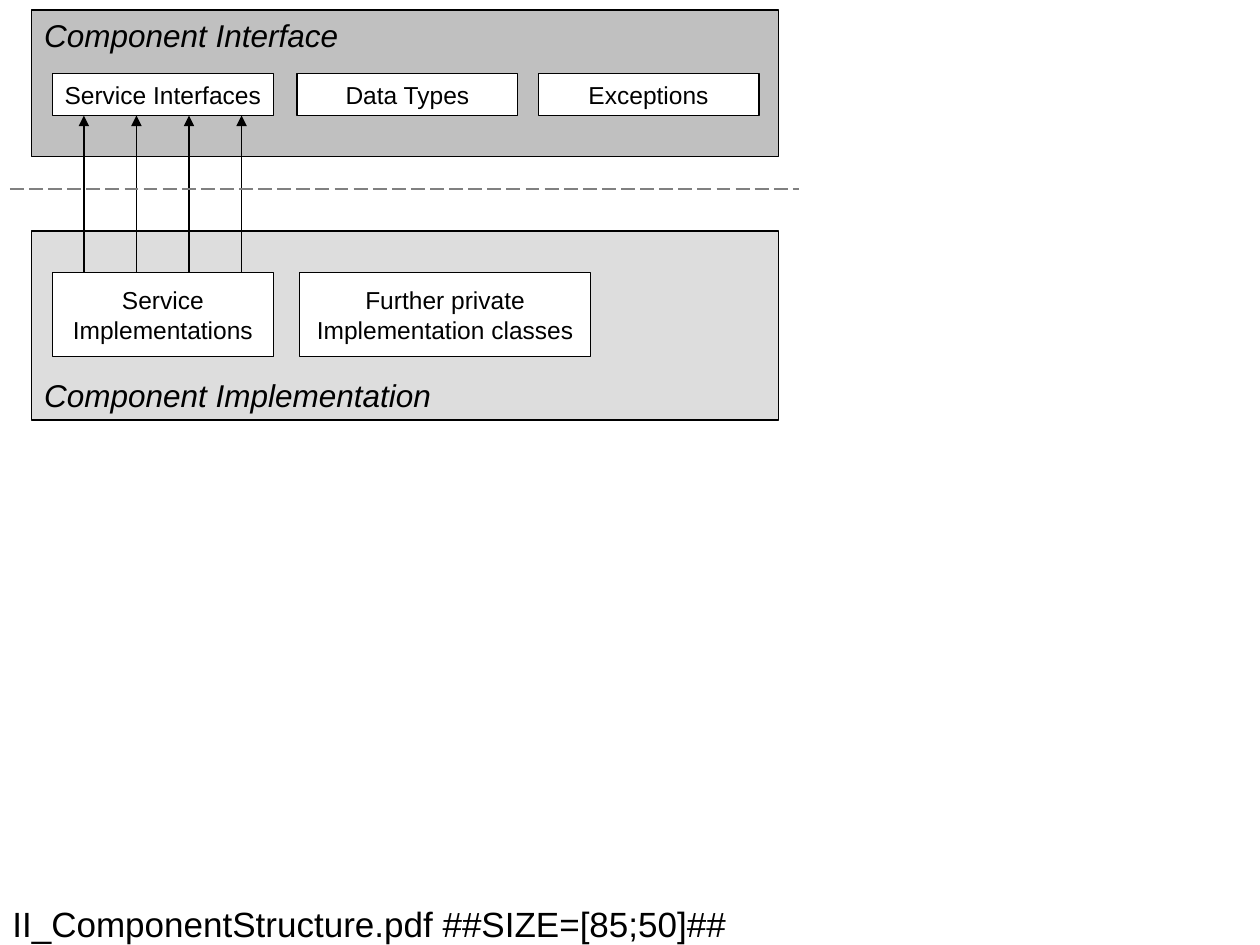
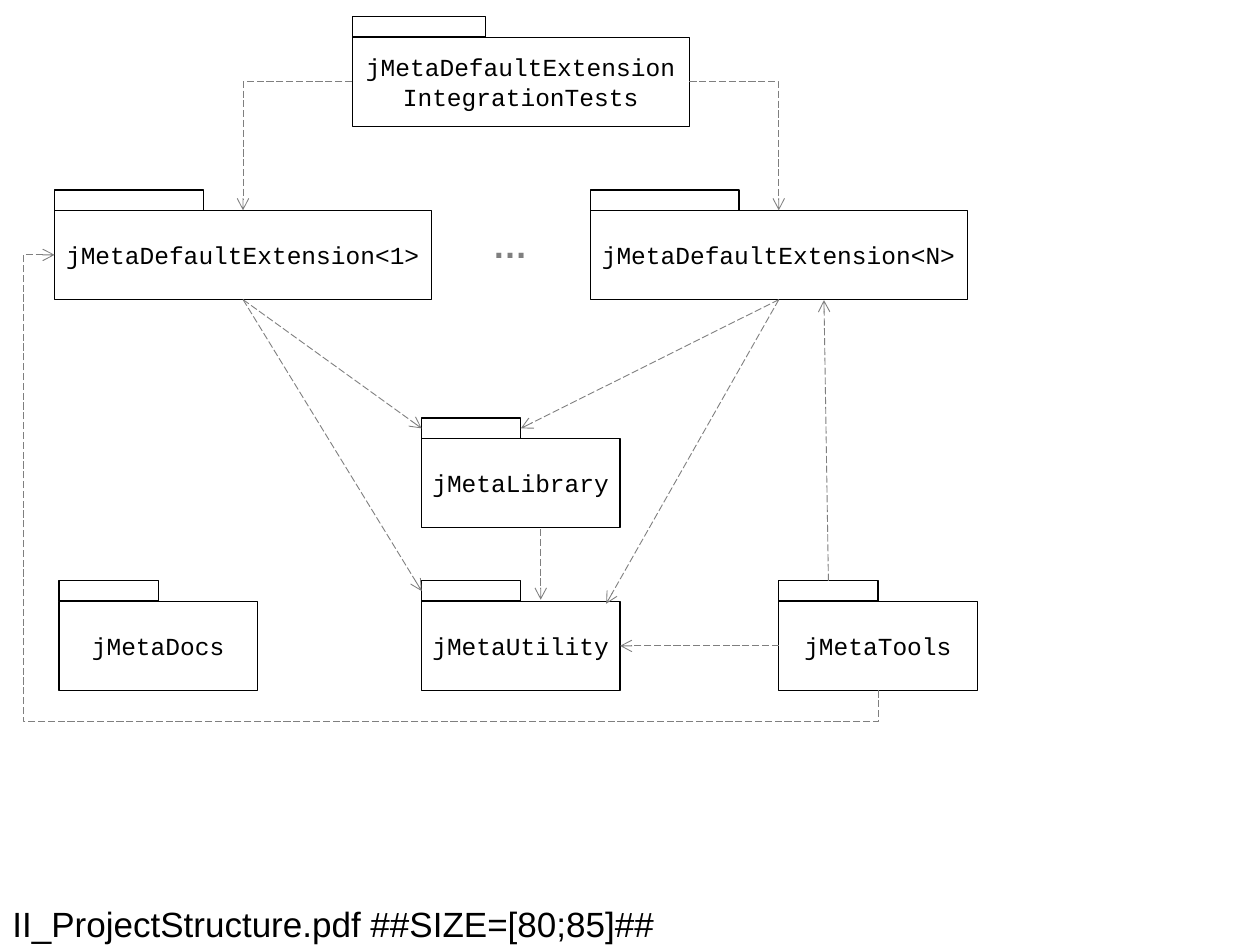
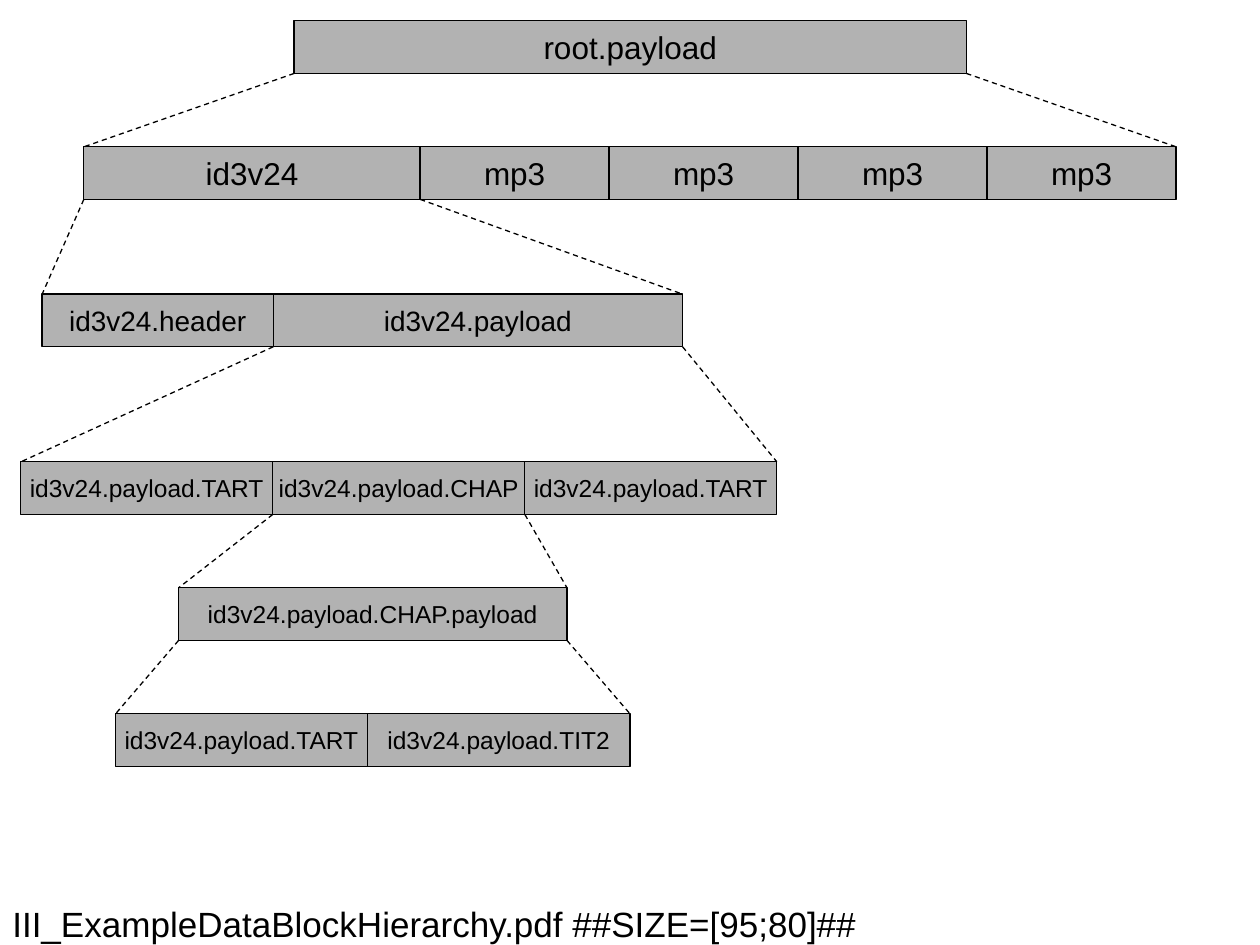
from dataclasses import dataclass
from typing import NamedTuple, Optional, Union

from lxml import etree
from pptx import Presentation
from pptx.dml.color import RGBColor
from pptx.enum.dml import MSO_LINE
from pptx.enum.shapes import MSO_CONNECTOR, MSO_SHAPE
from pptx.enum.text import MSO_ANCHOR, MSO_AUTO_SIZE, PP_ALIGN
from pptx.oxml.ns import qn
from pptx.shapes.autoshape import Shape
from pptx.shapes.connector import Connector
from pptx.shapes.shapetree import GroupShapes, SlideShapes
from pptx.slide import Slide
from pptx.text.text import TextFrame
from pptx.util import Cm, Pt

BLACK = RGBColor(0x00, 0x00, 0x00)
WHITE = RGBColor(0xFF, 0xFF, 0xFF)
INTERFACE_GREY = RGBColor(0xC0, 0xC0, 0xC0)
IMPLEMENTATION_GREY = RGBColor(0xDD, 0xDD, 0xDD)
BLOCK_GREY = RGBColor(0xB2, 0xB2, 0xB2)
BORDER_GREY = RGBColor(0x80, 0x80, 0x80)
DEPENDENCY_GREY = RGBColor(0x7F, 0x7F, 0x7F)

RECTANGLE = MSO_SHAPE.RECTANGLE
STRAIGHT, ELBOW = MSO_CONNECTOR.STRAIGHT, MSO_CONNECTOR.ELBOW
DASH, LONG_DASH = MSO_LINE.DASH, MSO_LINE.LONG_DASH
LEFT, CENTER = PP_ALIGN.LEFT, PP_ALIGN.CENTER
TOP, MIDDLE, BOTTOM = MSO_ANCHOR.TOP, MSO_ANCHOR.MIDDLE, MSO_ANCHOR.BOTTOM
FIXED_SIZE = MSO_AUTO_SIZE.NONE
TOP_SIDE, LEFT_SIDE, BOTTOM_SIDE, RIGHT_SIDE = range(4)

PAGE_WIDTH, PAGE_HEIGHT = 25.4, 19.05


# All positions and lengths below are in centimetres
class Area(NamedTuple):
    left: float
    top: float
    width: float
    height: float


class Point(NamedTuple):
    x: float
    y: float


class Joint(NamedTuple):
    shape: Shape
    side: int


LineEnd = Union[Point, Joint]


@dataclass(frozen=True)
class TextStyle:
    size: float = 14
    font: str = "Arial"
    color: RGBColor = BLACK
    bold: bool = False
    italic: bool = False
    align: PP_ALIGN = CENTER
    anchor: MSO_ANCHOR = MIDDLE


@dataclass(frozen=True)
class LineStyle:
    color: RGBColor
    width: float
    dash: Optional[MSO_LINE] = None
    arrowhead: str = ""


@dataclass(frozen=True)
class Package:
    name: str
    left: float
    body_top: float
    width: float
    tab_width: float


@dataclass(frozen=True)
class BlockRow:
    top: float
    left: float
    size: int
    blocks: tuple[tuple[str, float], ...]
    parent: int = 0  # index of the block in the row above that this row unfolds


BOX_TEXT = TextStyle()
PACKAGE_TEXT = TextStyle(font="Courier New")
TITLE_TEXT = TextStyle(size=20, align=LEFT)
ELLIPSIS_TEXT = TextStyle(size=20, color=DEPENDENCY_GREY, bold=True, align=LEFT, anchor=TOP)
REALIZATION = LineStyle(BLACK, 1, arrowhead="triangle")
LAYER_BORDER = LineStyle(BORDER_GREY, 1, LONG_DASH)
DEPENDENCY = LineStyle(DEPENDENCY_GREY, 0.5, LONG_DASH, "arrow")
UNFOLDING = LineStyle(BLACK, 0.75, DASH)


# Shared drawing functions
def write_text(frame: TextFrame, text: str, style: TextStyle) -> None:
    frame.word_wrap = False
    frame.auto_size = FIXED_SIZE
    frame.vertical_anchor = style.anchor
    para = frame.paragraphs[0]
    para.alignment = style.align
    for number, line in enumerate(text.split("\n")):
        if number:
            para.add_line_break()
        span = para.add_run()
        span.text = line
        span.font.name = style.font
        span.font.size = Pt(style.size)
        span.font.bold = style.bold
        span.font.italic = style.italic
        span.font.color.rgb = style.color


def add_text(page: Slide, area: Area, text: str, style: TextStyle) -> Shape:
    box = page.shapes.add_textbox(*map(Cm, area))
    write_text(box.text_frame, text, style)
    return box


def add_box(shapes: Union[SlideShapes, GroupShapes], area: Area, fill: Optional[RGBColor],
            text: str = "", style: TextStyle = BOX_TEXT) -> Shape:
    box = shapes.add_shape(RECTANGLE, *map(Cm, area))
    box.shadow.inherit = False
    if fill is None:
        box.fill.background()
    else:
        box.fill.solid()
        box.fill.fore_color.rgb = fill
    box.line.color.rgb = BLACK
    box.line.width = Pt(0.75)
    if text:
        write_text(box.text_frame, text, style)
    return box


def add_line(page: Slide, start: LineEnd, end: LineEnd, style: LineStyle,
             kind: MSO_CONNECTOR = STRAIGHT) -> Connector:
    begin_at = start if isinstance(start, Point) else Point(0, 0)
    end_at = end if isinstance(end, Point) else Point(0, 0)
    line = page.shapes.add_connector(kind, *map(Cm, (*begin_at, *end_at)))
    if isinstance(start, Joint):
        line.begin_connect(start.shape, start.side)
    if isinstance(end, Joint):
        line.end_connect(end.shape, end.side)
    line.line.color.rgb = style.color
    line.line.width = Pt(style.width)
    if style.dash is not None:
        line.line.dash_style = style.dash
    properties = line.element.spPr
    if style.arrowhead:
        outline = properties.find(qn("a:ln"))
        etree.SubElement(outline, qn("a:tailEnd"), type=style.arrowhead)
    etree.SubElement(properties, qn("a:effectLst"))
    return line


def bend(line: Connector, preset: str, *adjustments: int) -> None:
    geometry = line.element.spPr.find(qn("a:prstGeom"))
    geometry.set("prst", preset)
    guides = geometry.find(qn("a:avLst"))
    for number, value in enumerate(adjustments, start=1):
        etree.SubElement(guides, qn("a:gd"), name=f"adj{number}", fmla=f"val {value}")


def start_upwards(line: Connector) -> None:
    """Turn a connector that runs up and left so that its first leg is vertical."""
    width, height = line.width, line.height
    shift = (width - height) // 2
    line.left, line.top = line.left + shift, line.top - shift
    line.width, line.height = height, width
    transform = line.element.spPr.find(qn("a:xfrm"))
    transform.attrib.pop("flipH", None)
    transform.set("flipV", "1")
    transform.set("rot", str(270 * 60000))


def add_page(deck: Presentation, title: str, title_width: float = PAGE_WIDTH) -> Slide:
    page = deck.slides.add_slide(deck.slide_layouts[6])
    box = add_text(page, Area(0, 18.2, title_width, 0.85), title, TITLE_TEXT)
    box.text_frame.margin_top = box.text_frame.margin_bottom = 0
    return page


# Slide 1: component structure
def draw_component_structure(deck: Presentation) -> None:
    page = add_page(deck, "II_ComponentStructure.pdf ##SIZE=[85;50]##")
    panels = (
        ("Component Implementation", 4.66, 3.81, IMPLEMENTATION_GREY, BOTTOM),
        ("Component Interface", 0.2, 2.96, INTERFACE_GREY, TOP),
    )
    for name, top, height, fill, anchor in panels:
        style = TextStyle(size=18, italic=True, align=LEFT, anchor=anchor)
        add_box(page.shapes, Area(0.64, top, 15.06, height), fill, name, style)

    parts = (
        ("Service Interfaces", Area(1.06, 1.48, 4.45, 0.85)),
        ("Data Types", Area(5.99, 1.48, 4.45, 0.85)),
        ("Exceptions", Area(10.85, 1.48, 4.45, 0.85)),
        ("Service\nImplementations", Area(1.06, 5.5, 4.45, 1.69)),
        ("Further private\nImplementation classes", Area(6.04, 5.5, 5.87, 1.69)),
    )
    for name, area in parts:
        add_box(page.shapes, area, WHITE, name)

    for number in range(4):
        x = 1.69 + 1.06 * number
        add_line(page, Point(x, 5.5), Point(x, 2.33), REALIZATION)
    add_line(page, Point(0.2, 3.81), Point(16.1, 3.81), LAYER_BORDER)


# Slide 2: project structure
def add_package(page: Slide, package: Package) -> tuple[Shape, Shape]:
    body_height, tab_height = 1.8, 0.41
    group = page.shapes.add_group_shape()
    body = add_box(group.shapes, Area(package.left, package.body_top, package.width, body_height),
                   None, package.name, PACKAGE_TEXT)
    tab = add_box(group.shapes, Area(package.left, package.body_top - tab_height,
                                     package.tab_width, tab_height), None)
    return body, tab


def draw_project_structure(deck: Presentation) -> None:
    page = add_page(deck, "II_ProjectStructure.pdf ##SIZE=[80;85]##")
    library, library_tab = add_package(page, Package("jMetaLibrary", 8.5, 8.84, 4, 2))
    utility, utility_tab = add_package(page, Package("jMetaUtility", 8.5, 12.12, 4, 2))
    first, _ = add_package(page, Package("jMetaDefaultExtension<1>", 1.1, 4.24, 7.6, 3))
    last, _ = add_package(page, Package("jMetaDefaultExtension<N>", 11.9, 4.24, 7.6, 3))
    add_package(page, Package("jMetaDocs", 1.19, 12.12, 4, 2))
    tools, tools_tab = add_package(page, Package("jMetaTools", 15.7, 12.12, 4, 2))
    tests, _ = add_package(
        page, Package("jMetaDefaultExtension\nIntegrationTests", 7.1, 0.75, 6.8, 2.69))
    add_text(page, Area(9.68, 4.39, 1.22, 1.12), "…", ELLIPSIS_TEXT)

    # Straight dependencies
    dependencies = (
        (Point(10.9, 10.67), Point(10.9, 12.09)),
        (Joint(first, BOTTOM_SIDE), Joint(library_tab, LEFT_SIDE)),
        (Joint(first, BOTTOM_SIDE), Joint(utility_tab, LEFT_SIDE)),
        (Joint(last, BOTTOM_SIDE), Joint(library_tab, RIGHT_SIDE)),
        (Joint(last, BOTTOM_SIDE), Point(12.22, 12.17)),
        (Joint(tools, LEFT_SIDE), Joint(utility, RIGHT_SIDE)),
        (Joint(tools_tab, TOP_SIDE), Point(16.61, 6.05)),
    )
    for start, end in dependencies:
        add_line(page, start, end, DEPENDENCY)

    # Bent dependencies
    for side, extension in ((LEFT_SIDE, first), (RIGHT_SIDE, last)):
        line = add_line(page, Joint(tests, side), Joint(extension, TOP_SIDE), DEPENDENCY, ELBOW)
        bend(line, "bentConnector2")
    detour = add_line(page, Joint(tools, BOTTOM_SIDE), Joint(first, LEFT_SIDE), DEPENDENCY, ELBOW)
    start_upwards(detour)
    bend(detour, "bentConnector4", -7200, 103800)


# Slide 3: data block hierarchy
BLOCK_ROWS = (
    BlockRow(0.42, 5.93, 18, (("root.payload", 13.55),)),
    BlockRow(2.96, 1.69, 18, (("id3v24", 6.78),) + (("mp3", 3.81),) * 4),
    BlockRow(5.93, 0.85, 16, (("id3v24.header", 4.66), ("id3v24.payload", 8.25))),
    BlockRow(9.31, 0.42, 14, (("id3v24.payload.TART", 5.08), ("id3v24.payload.CHAP", 5.08),
                              ("id3v24.payload.TART", 5.08)), parent=1),
    BlockRow(11.85, 3.6, 14, (("id3v24.payload.CHAP.payload", 7.83),), parent=1),
    BlockRow(14.39, 2.33, 14, (("id3v24.payload.TART", 5.08), ("id3v24.payload.TIT2", 5.29))),
)


def draw_block_hierarchy(deck: Presentation) -> None:
    page = add_page(deck, "III_ExampleDataBlockHierarchy.pdf ##SIZE=[95;80]##", 21.59)
    height = 1.06
    areas_above: list[Area] = []
    for row in BLOCK_ROWS:
        areas = []
        left = row.left
        for name, width in row.blocks:
            areas.append(Area(left, row.top, width, height))
            add_box(page.shapes, areas[-1], BLOCK_GREY, name, TextStyle(size=row.size))
            left += width
        if areas_above:
            parent = areas_above[row.parent]
            bottom = parent.top + height
            edges = ((parent.left, row.left), (parent.left + parent.width, left))
            for upper_x, lower_x in edges:
                add_line(page, Point(upper_x, bottom), Point(lower_x, row.top), UNFOLDING)
        areas_above = areas


def main() -> None:
    deck = Presentation()
    deck.slide_width, deck.slide_height = Cm(PAGE_WIDTH), Cm(PAGE_HEIGHT)
    draw_component_structure(deck)
    draw_project_structure(deck)
    draw_block_hierarchy(deck)
    deck.save("out.pptx")


if __name__ == "__main__":
    main()
